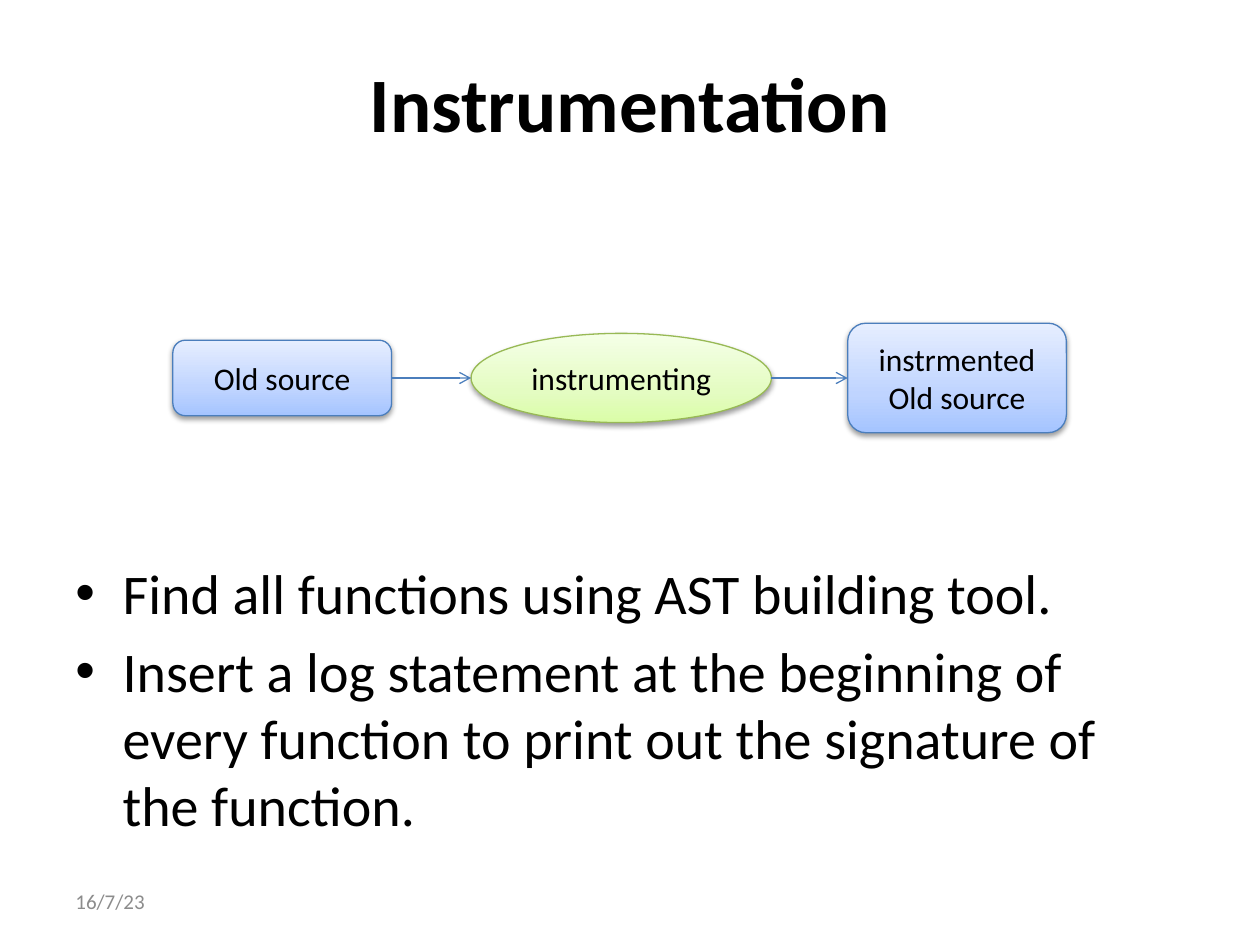
from lxml import etree
from pptx import Presentation
from pptx import util as u
from pptx.dml.color import RGBColor
from pptx.enum import shapes, text
from pptx.oxml import parse_xml
from pptx.oxml.ns import nsdecls, qn

FONT = "Calibri"
BLUE = ("4B7EBC", ("A4C4FF", "BFD4FF", "E6EEFF"))
GREEN = ("98B955", ("DAFDA7", "E4FCC2", "F5FFE7"))
AXIS = 216  # common vertical centre of the flow
ROUNDED = shapes.MSO_SHAPE.ROUNDED_RECTANGLE
OVAL = shapes.MSO_SHAPE.OVAL


def color(value):
    return RGBColor.from_string(value)


def write(shape, lines, size, ink="000000", bold=False,
          align=text.PP_ALIGN.LEFT, anchor=text.MSO_ANCHOR.MIDDLE):
    frame = shape.text_frame
    frame.word_wrap = True
    frame.vertical_anchor = anchor
    frame.text = "\n".join(lines)
    for para in frame.paragraphs:
        para.alignment = align
        for span in para.runs:
            span.font.name = FONT
            span.font.size = u.Pt(size)
            span.font.bold = bold
            span.font.color.rgb = color(ink)


def add_text(page, left, top, width, height, lines, size, **style):
    box = page.shapes.add_textbox(u.Pt(left), u.Pt(top), u.Pt(width), u.Pt(height))
    write(box, lines, size, **style)
    return box


def add_bullets(box, indent, gap):
    for para in box.text_frame.paragraphs:
        para.space_before = u.Pt(gap)
        props = para._p.get_or_add_pPr()
        props.set("marL", str(u.Pt(indent)))
        props.set("indent", str(-u.Pt(indent)))
        etree.SubElement(props, qn("a:buFont")).set("typeface", "Arial")
        etree.SubElement(props, qn("a:buChar")).set("char", "•")


def add_step(page, kind, left, width, height, lines, theme):
    edge, stops = theme
    step = page.shapes.add_shape(kind, u.Pt(left), u.Pt(AXIS - height / 2),
                                 u.Pt(width), u.Pt(height))
    step.line.color.rgb = color(edge)
    step.line.width = u.Pt(0.75)
    # Three-stop gradient rising from the bottom edge
    marks = "".join(f'<a:gs pos="{place}"><a:srgbClr val="{tone}"/></a:gs>'
                    for place, tone in zip((0, 35000, 100000), stops))
    step._element.spPr.insert(2, parse_xml(
        f'<a:gradFill {nsdecls("a")} rotWithShape="1"><a:gsLst>{marks}</a:gsLst>'
        '<a:lin ang="16200000" scaled="0"/></a:gradFill>'))
    # Soft shadow below
    step.shadow.inherit = False
    step._element.spPr.find(qn("a:effectLst")).append(parse_xml(
        f'<a:outerShdw {nsdecls("a")} blurRad="{u.Pt(3.1)}" dist="{u.Pt(1.6)}" '
        'dir="5400000" rotWithShape="0"><a:srgbClr val="000000">'
        '<a:alpha val="38000"/></a:srgbClr></a:outerShdw>'))
    write(step, lines, 18, align=text.PP_ALIGN.CENTER)
    return step


def add_arrow(page, source, target):
    # Sites: 3 is the right of a rectangle, 6 the right of an ellipse
    arrow = page.shapes.add_connector(
        shapes.MSO_CONNECTOR.STRAIGHT, source.left + source.width, u.Pt(AXIS),
        target.left, u.Pt(AXIS))
    arrow.line.color.rgb = color(BLUE[0])
    arrow.line.width = u.Pt(0.75)
    etree.SubElement(arrow.line._get_or_add_ln(), qn("a:tailEnd")).set("type", "arrow")
    etree.SubElement(arrow._element.spPr, qn("a:effectLst"))


def main():
    deck = Presentation()
    deck.slide_width, deck.slide_height = u.Pt(720), u.Pt(540)
    page = deck.slides.add_slide(deck.slide_layouts[6])

    # Title, bullets and date
    add_text(page, 36, 21.6, 648, 72.7, ["Instrumentation"], 44, bold=True,
             align=text.PP_ALIGN.CENTER)
    body = add_text(page, 36, 315.4, 648, 185, [
        "Find all functions using AST building tool.",
        "Insert a log statement at the beginning of every function to print out "
        "the signature of the function.",
    ], 32, anchor=text.MSO_ANCHOR.TOP)
    add_bullets(body, 27, 6.4)
    add_text(page, 36, 500.4, 168, 28.8, ["16/7/23"], 12, ink="8C8C8C")

    # Flow from the old source to the instrumented one
    steps = [add_step(page, *step) for step in (
        (ROUNDED, 98.8, 125, 43.2, ["Old source"], BLUE),
        (OVAL, 269.2, 171.6, 51, ["instrumenting"], GREEN),
        (ROUNDED, 484.4, 125, 62.6, ["instrmented", "Old source"], BLUE),
    )]
    for source, target in zip(steps, steps[1:]):
        add_arrow(page, source, target)

    deck.save("out.pptx")


main()
